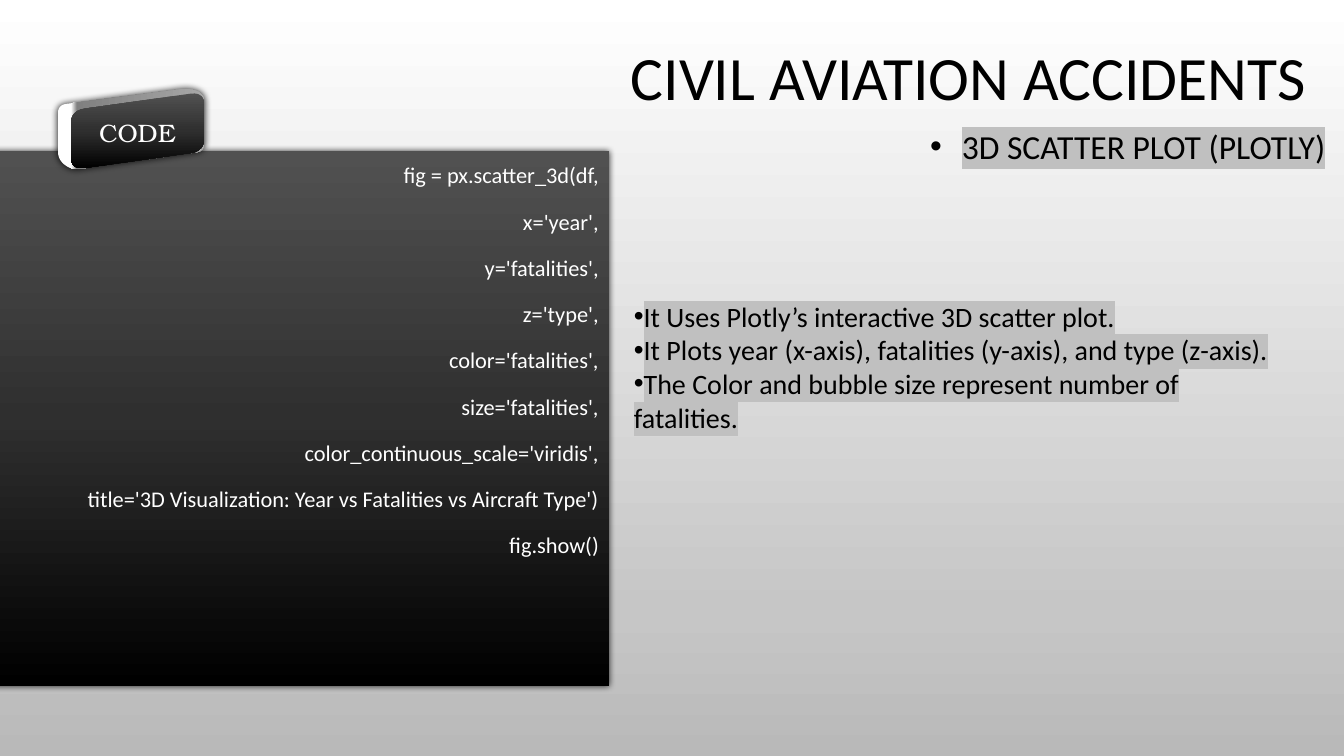
from dataclasses import dataclass
from math import hypot

from lxml import etree
from pptx import Presentation
from pptx import util as u
from pptx.dml.color import RGBColor
from pptx.enum import shapes, text
from pptx.oxml.ns import qn


@dataclass(frozen=True)
class Theme:
    sans: str = "Calibri"
    serif: str = "TeX Gyre Bonum"
    ink: str = "000000"
    paper: str = "FFFFFF"
    highlight: str = "C0C0C0"
    title: int = 44
    subtitle: int = 24
    body: int = 20
    label: int = 18
    code: int = 16
    backdrop: tuple = ((0, "FFFFFF"), (81, "C6C6C6"), (100, "B9B9B9"))
    panel: tuple = ((0, "515151"), (50, "2F2F2F"), (100, "000000"))
    edge: tuple = ((0, "FFFFFF"), (9, "FFFFFF"), (13, "808080"), (100, "A8A8A8"))


def add(parent, tag, **attributes):
    return etree.SubElement(parent, qn(tag), attributes)


def set_gradient(fill, root, stops, angle):
    fill.gradient()
    fill.gradient_angle = angle
    stop_list = next(root.iter(qn("a:gsLst")))
    for stop in list(stop_list):
        stop_list.remove(stop)
    for position, color in stops:
        stop = add(stop_list, "a:gs", pos=str(position * 1000))
        add(stop, "a:srgbClr", val=color)


def rounded(corners, radius, steps=6):
    """Return the outline of a polygon with curved corners."""
    points = []
    for i, (x, y) in enumerate(corners):
        ends = []
        for nx, ny in (corners[i - 1], corners[(i + 1) % len(corners)]):
            length = hypot(nx - x, ny - y)
            share = min(radius / length, 0.5)
            ends.append((x + (nx - x) * share, y + (ny - y) * share))
        (ax, ay), (bx, by) = ends
        for k in range(steps + 1):
            t = k / steps
            points.append(((1 - t) ** 2 * ax + 2 * t * (1 - t) * x + t * t * bx,
                           (1 - t) ** 2 * ay + 2 * t * (1 - t) * y + t * t * by))
    return points


def write(frame, lines, *, size, font, color, align=text.PP_ALIGN.LEFT,
          anchor=text.MSO_ANCHOR.TOP, spacing=None, before=0,
          highlight=None, bullet=False, indent=0):
    frame.word_wrap = True
    frame.vertical_anchor = anchor
    for i, line in enumerate(lines):
        para = frame.paragraphs[0] if i == 0 else frame.add_paragraph()
        para.alignment = align
        if spacing:
            para.line_spacing = spacing
        if i and before:
            para.space_before = u.Pt(before)
        if bullet:
            props = para._p.get_or_add_pPr()
            props.set("marL", str(u.Pt(indent)))
            props.set("indent", str(-u.Pt(indent)))
            add(props, "a:buFont", typeface="Arial")
            add(props, "a:buChar", char="•")
        span = para.add_run()
        span.text = line
        span.font.size = u.Pt(size)
        span.font.color.rgb = RGBColor.from_string(color)
        if highlight:
            mark = etree.Element(qn("a:highlight"))
            add(mark, "a:srgbClr", val=highlight)
            span._r.rPr.find(qn("a:solidFill")).addnext(mark)
        span.font.name = font


class SlideBuilder:
    def __init__(self, page, theme):
        self.page = page
        self.theme = theme

    def background(self):
        fill = self.page.background.fill
        set_gradient(fill, self.page._element, self.theme.backdrop, 270)

    def text_box(self, left, top, width, height, lines, **style):
        box = self.page.shapes.add_textbox(*map(u.Pt, (left, top, width, height)))
        write(box.text_frame, lines,
              **{"font": self.theme.sans, "color": self.theme.ink, **style})

    def panel(self, left, top, width, height):
        box = self.page.shapes.add_shape(
            shapes.MSO_SHAPE.RECTANGLE, *map(u.Pt, (left, top, width, height)))
        self.paint(box, self.theme.panel, 270, halo=True)
        return box

    def solid(self, corners, radius, stops, angle, halo=False):
        points = [(u.Pt(x), u.Pt(y)) for x, y in rounded(corners, radius)]
        outline = self.page.shapes.build_freeform(*points[0])
        outline.add_line_segments(points[1:], close=True)
        face = outline.convert_to_shape()
        self.paint(face, stops, angle, halo)
        return face

    def paint(self, shape, stops, angle, halo):
        set_gradient(shape.fill, self.fill_root(shape, stops), stops, angle)
        shape.line.fill.background()
        shape.shadow.inherit = False
        if halo:
            effects = shape._element.spPr.find(qn("a:effectLst"))
            shadow = add(effects, "a:outerShdw", blurRad=str(u.Pt(5)), dist="0",
                         algn="ctr", rotWithShape="0")
            color = add(shadow, "a:srgbClr", val=self.theme.ink)
            add(color, "a:alpha", val="80000")

    @staticmethod
    def fill_root(shape, stops):
        shape.fill.gradient()
        return shape._element.spPr


def main():
    theme = Theme()
    deck = Presentation()
    deck.slide_width, deck.slide_height = u.Pt(960), u.Pt(540)
    page = deck.slides.add_slide(deck.slide_layouts[6])
    slide = SlideBuilder(page, theme)
    slide.background()

    # Title
    slide.text_box(434.9, 23.8, 514, 61.2, ["CIVIL AVIATION ACCIDENTS"],
                   size=theme.title, align=text.PP_ALIGN.CENTER,
                   anchor=text.MSO_ANCHOR.BOTTOM, spacing=0.9)

    # Code panel
    code = [
        "fig = px.scatter_3d(df,",
        "                    x='year',",
        "                    y='fatalities',",
        "                    z='type',",
        "                    color='fatalities',",
        "                    size='fatalities',",
        "                    color_continuous_scale='viridis',",
        "                    title='3D Visualization: Year vs Fatalities vs Aircraft Type')",
        "fig.show()",
    ]
    panel = slide.panel(-36, 108, 470.9, 382.3)
    write(panel.text_frame, code, size=theme.code, font=theme.sans,
          color=theme.paper, align=text.PP_ALIGN.RIGHT, spacing=1.2, before=10)

    # Raised code label: lit edge behind, dark face in front
    slide.solid([(41.4, 75), (135, 63), (146, 67), (146, 108), (51, 121.5), (41.4, 114)],
                6, theme.edge, 0, halo=True)
    face = slide.solid([(50.5, 79), (146, 65.5), (146, 108), (50.5, 121.5)],
                       10, theme.panel, 270)
    face.text_frame.margin_top = u.Pt(6)
    write(face.text_frame, ["CODE"], size=theme.label, font=theme.serif,
          color=theme.paper, align=text.PP_ALIGN.CENTER,
          anchor=text.MSO_ANCHOR.MIDDLE)

    # Plot name and explanation
    slide.text_box(657.4, 86.4, 302.4, 36, ["3D SCATTER PLOT (PLOTLY)"],
                   size=theme.subtitle, highlight=theme.highlight,
                   bullet=True, indent=22.5)
    slide.text_box(445.7, 221.8, 470.9, 79.9, [
        "It Uses Plotly’s interactive 3D scatter plot.",
        "It Plots year (x-axis), fatalities (y-axis), and type (z-axis).",
        "The Color and bubble size represent number of fatalities.",
    ], size=theme.body, anchor=text.MSO_ANCHOR.MIDDLE,
        highlight=theme.highlight, bullet=True)

    deck.save("out.pptx")


if __name__ == "__main__":
    main()
